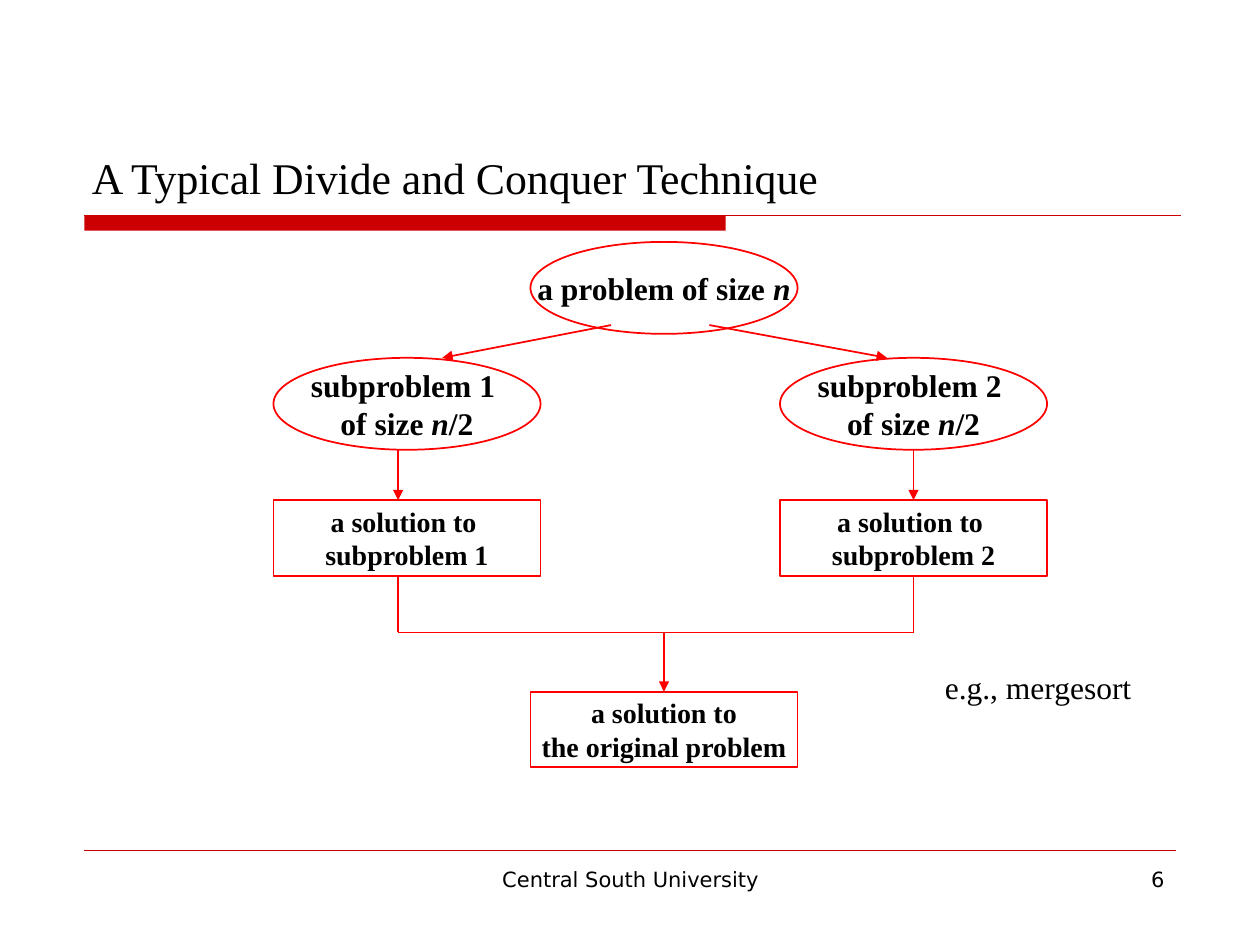
from lxml import etree
from pptx import Presentation
from pptx.dml.color import RGBColor
from pptx.enum.shapes import MSO_CONNECTOR, MSO_SHAPE
from pptx.enum.text import MSO_ANCHOR, PP_ALIGN
from pptx.oxml.ns import qn
from pptx.util import Inches, Pt

OVAL, RECT = MSO_SHAPE.OVAL, MSO_SHAPE.RECTANGLE
STRAIGHT = MSO_CONNECTOR.STRAIGHT
LEFT, CENTER, RIGHT = PP_ALIGN.LEFT, PP_ALIGN.CENTER, PP_ALIGN.RIGHT
TOP, MIDDLE, BOTTOM = MSO_ANCHOR.TOP, MSO_ANCHOR.MIDDLE, MSO_ANCHOR.BOTTOM

SERIF, SANS = "Times New Roman", "DejaVu Sans"
BLACK, RED, DARK_RED = "000000", "FF0000", "CC0000"

NODE_W = 2.12
COLUMNS = {"left": 2.17, "middle": 4.21, "right": 6.19}
ROWS = {"problem": 1.92, "subproblems": 2.84, "solutions": 3.97, "answer": 5.49}
STYLES = {"problem": (OVAL, 0.73, 18), "solution": (RECT, 0.6, 16)}
BRANCHES = {"left": (1, 3.16, 4.85, 3.51), "right": (2, 7.25, 5.63, 7.04)}
SPLIT_Y, JOIN_Y = 2.58, 5.02

NODES = [
    ("middle", "problem", "problem", [["a problem of size ", "n"]]),
    ("middle", "answer", "solution", [["a solution to"], ["the original problem"]]),
]
for side, (number, *_) in BRANCHES.items():
    NODES += [
        (side, "subproblems", "problem",
         [[f"subproblem {number} "], ["of size ", "n", "/2"]]),
        (side, "solutions", "solution",
         [["a solution to "], [f"subproblem {number}"]]),
    ]

LABELS = [
    ("A Typical Divide and Conquer Technique", (0.63, 0.33, 8.75, 1.33),
     SERIF, 25, LEFT, BOTTOM),
    ("e.g., mergesort", (7.4, 5.25, 1.75, 0.4), SERIF, 18, LEFT, MIDDLE),
    ("Central South University", (3.42, 6.83, 3.17, 0.52), SANS, 12, CENTER, TOP),
    ("6", (7.17, 6.83, 2.17, 0.52), SANS, 12, RIGHT, TOP),
]

prs = Presentation()
prs.slide_width, prs.slide_height = Inches(10), Inches(7.5)
shapes = prs.slides.add_slide(prs.slide_layouts[6]).shapes


def color(hex_value):
    return RGBColor.from_string(hex_value)


def write(frame, paragraphs, font, size, align, anchor, bold=False, wrap=True):
    layout = {"word_wrap": wrap, "vertical_anchor": anchor}
    for key, value in layout.items():
        setattr(frame, key, value)
    for index, pieces in enumerate(paragraphs):
        paragraph = frame.add_paragraph() if index else frame.paragraphs[0]
        paragraph.alignment = align
        for piece in pieces:
            run = paragraph.add_run()
            run.text = piece
            formats = {"name": font, "size": Pt(size), "bold": bold, "italic": piece == "n"}
            for key, value in formats.items():
                setattr(run.font, key, value)
            run.font.color.rgb = color(BLACK)


def connect(x1, y1, x2, y2, hex_value=RED, width=1, arrow=False):
    connector = shapes.add_connector(STRAIGHT, *map(Inches, (x1, y1, x2, y2)))
    connector.line.color.rgb = color(hex_value)
    connector.line.width = Pt(width)
    if arrow:
        etree.SubElement(connector.line._get_or_add_ln(), qn("a:tailEnd"), type="triangle")
    etree.SubElement(connector._element.spPr, qn("a:effectLst"))


def add_node(column, row, style, paragraphs):
    outline, height, size = STYLES[style]
    node = shapes.add_shape(
        outline, *map(Inches, (COLUMNS[column], ROWS[row], NODE_W, height)))
    node.shadow.inherit = False
    node.fill.background()
    node.line.color.rgb = color(RED)
    node.line.width = Pt(1)
    write(node.text_frame, paragraphs, SERIF, size, CENTER, MIDDLE, bold=True, wrap=False)


title_bar = shapes.add_shape(RECT, *map(Inches, (0.67, 1.71, 5.09, 0.12)))
title_bar.shadow.inherit = False
title_bar.fill.solid()
title_bar.fill.fore_color.rgb = color(DARK_RED)
title_bar.line.fill.background()
connect(0.67, 1.71, 9.37, 1.71, DARK_RED, 0.75)
connect(0.67, 6.75, 9.33, 6.75, DARK_RED, 0.25)

for text, box, font, size, align, anchor in LABELS:
    label = shapes.add_textbox(*map(Inches, box))
    write(label.text_frame, [[text]], font, size, align, anchor)

for node in NODES:
    add_node(*node)

subproblem_bottom = ROWS["subproblems"] + STYLES["problem"][1]
solution_bottom = ROWS["solutions"] + STYLES["solution"][1]
for _, stem, split_x, target_x in BRANCHES.values():
    connect(split_x, SPLIT_Y, target_x, ROWS["subproblems"], arrow=True)
    connect(stem, subproblem_bottom, stem, ROWS["solutions"], arrow=True)
    connect(stem, solution_bottom, stem, JOIN_Y)
connect(BRANCHES["left"][1], JOIN_Y, BRANCHES["right"][1], JOIN_Y)
center = COLUMNS["middle"] + NODE_W / 2
connect(center, JOIN_Y, center, ROWS["answer"], arrow=True)

prs.save("out.pptx")
